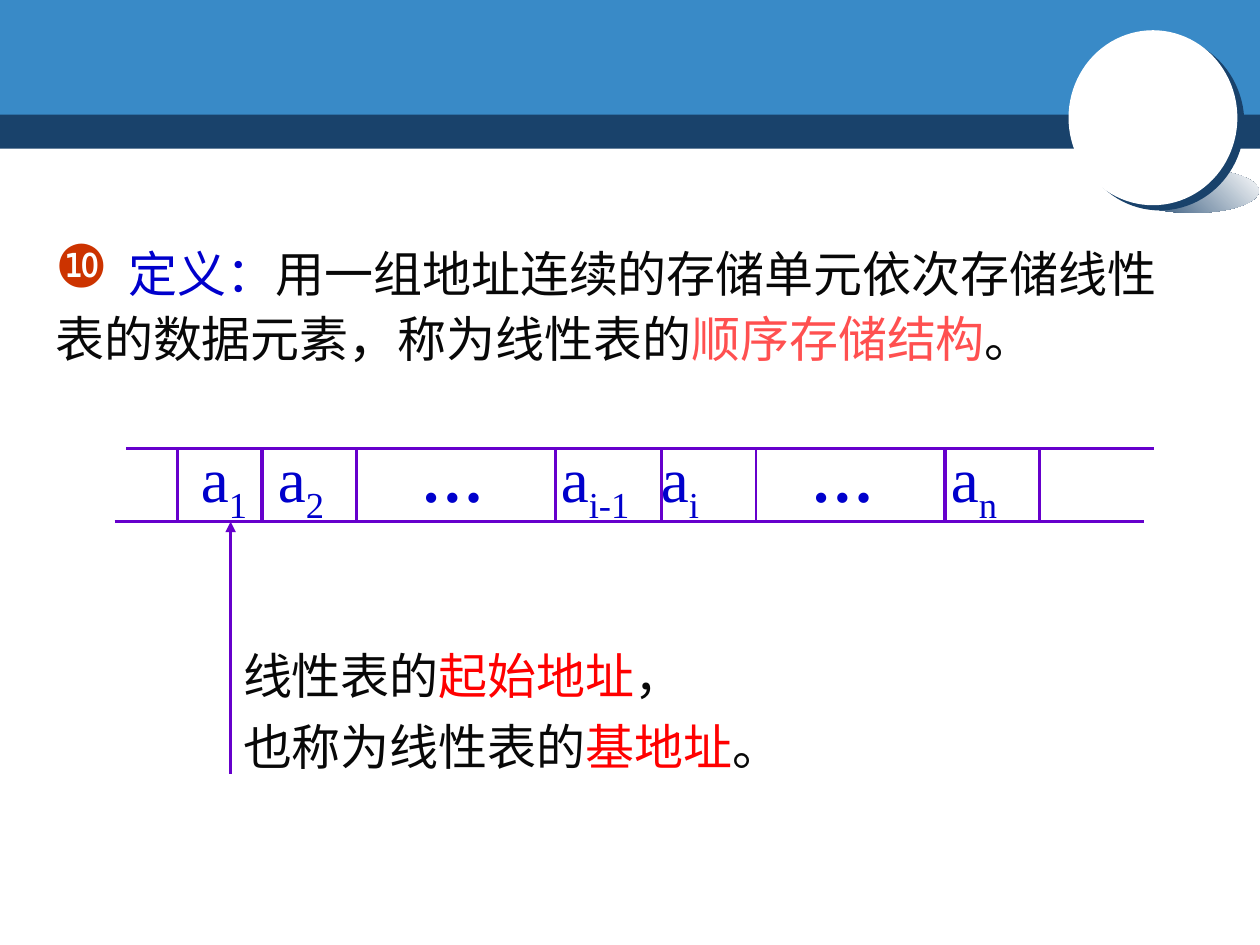
from dataclasses import dataclass

from lxml.etree import SubElement
from pptx import Presentation
from pptx.dml.color import RGBColor
from pptx.enum.shapes import MSO_CONNECTOR as Connector, MSO_SHAPE as Preset
from pptx.oxml.ns import qn
from pptx.util import Pt

NAVY = RGBColor(0x19, 0x42, 0x6B)
SKY = RGBColor(0x39, 0x8A, 0xC7)
WHITE = RGBColor(0xFF, 0xFF, 0xFF)
INK = RGBColor(0x08, 0x08, 0x08)
BLUE = RGBColor(0x00, 0x00, 0xCC)
RED = RGBColor(0xFF, 0x00, 0x00)
CORAL = RGBColor(0xFF, 0x50, 0x50)
RUST = RGBColor(0xCC, 0x33, 0x00)
PURPLE = RGBColor(0x66, 0x00, 0xCC)
FONT = "Times New Roman"


@dataclass
class Span:
    text: str
    color: RGBColor = INK
    size: float = 28
    bold: bool = False
    subscript: bool = False


@dataclass
class Line:
    x1: float
    y1: float
    x2: float
    y2: float
    width: float = 2
    arrow: bool = False


@dataclass
class Label:
    base: str
    index: str = ""
    tab: float = 0  # distance from the start of the text


deck = Presentation()
deck.slide_width, deck.slide_height = Pt(720), Pt(540)
page = deck.slides.add_slide(deck.slide_layouts[6])


def add_preset(preset: Preset, left: float, top: float, width: float,
               height: float, color: RGBColor):
    shape = page.shapes.add_shape(preset, Pt(left), Pt(top), Pt(width), Pt(height))
    shape.shadow.inherit = False
    shape.line.fill.background()
    shape.fill.solid()
    shape.fill.fore_color.rgb = color
    return shape


def add_line(line: Line) -> None:
    connector = page.shapes.add_connector(
        Connector.STRAIGHT, Pt(line.x1), Pt(line.y1), Pt(line.x2), Pt(line.y2))
    connector.line.color.rgb = PURPLE
    connector.line.width = Pt(line.width)
    if line.arrow:
        SubElement(connector.line._get_or_add_ln(), qn("a:tailEnd"), type="triangle")
    SubElement(connector._element.spPr, qn("a:effectLst"))


def add_text(left: float, top: float, width: float, height: float,
             paragraphs: list[list[Span]], spacing: float = 1):
    box = page.shapes.add_textbox(Pt(left), Pt(top), Pt(width), Pt(height))
    frame = box.text_frame
    frame.word_wrap = True
    for number, spans in enumerate(paragraphs):
        para = frame.add_paragraph() if number else frame.paragraphs[0]
        para.line_spacing = spacing
        for span in spans:
            run = para.add_run()
            run.text = span.text
            run.font.name = FONT
            run.font.size = Pt(span.size)
            run.font.bold = span.bold
            run.font.color.rgb = span.color
            if span.subscript:
                run.font._element.set("baseline", "-25000")
    return frame


def add_tabs(para, positions: list[float]) -> None:
    tabs = SubElement(para._p.get_or_add_pPr(), qn("a:tabLst"))
    for position in positions:
        SubElement(tabs, qn("a:tab"), pos=str(Pt(position)), algn="l")


# Header bands
add_preset(Preset.RECTANGLE, 0, 60.5, 720, 24.5, NAVY)
add_preset(Preset.RECTANGLE, 0, 0, 720, 65.5, SKY)

# Ball with its cast shade
shade = add_preset(Preset.OVAL, 643.7, 96.5, 75.6, 25.2, NAVY)
shade.fill.gradient()
shade.fill.gradient_angle = 45
for stop, color in zip(shade.fill.gradient_stops, (NAVY, WHITE)):
    stop.color.rgb = color
ball = add_preset(Preset.OVAL, 610.6, 17.3, 96.5, 100, WHITE)
edge = SubElement(ball._element.spPr.find(qn("a:effectLst")), qn("a:outerShdw"),
                  dist=str(Pt(5)), dir=str(37 * 60000), algn="ctr", rotWithShape="0")
SubElement(edge, qn("a:srgbClr"), val=str(NAVY))

# Definition with numbered bullet
definition = add_text(24.5, 132.5, 662.4, 81.4, [[
    Span("\t"),
    Span("定义：", BLUE),
    Span("用一组地址连续的存储单元依次存储线性表的数据元素，称为线性表的"),
    Span("顺序存储结构", CORAL),
    Span("。"),
]], spacing=1.1).paragraphs[0]
bullet = definition._p.get_or_add_pPr()
bullet_color = SubElement(bullet, qn("a:buClr"))
SubElement(bullet_color, qn("a:srgbClr"), val=str(RUST))
SubElement(bullet, qn("a:buSzPct"), val="120000")
SubElement(bullet, qn("a:buChar"), char="❿")
add_tabs(definition, [42])

# Address captions
add_text(131.8, 358.6, 322.6, 122.4, [
    [Span("线性表的"), Span("起始地址", RED), Span("，")],
    [Span("也称为线性表的"), Span("基地址", RED), Span("。")],
], spacing=1.2)

# Element names, set on tab stops
LABELS = [
    Label("a", "1"), Label("a", "2", 44), Label("…", tab=125.7),
    Label("a", "i-1", 205.7), Label("a", "i", 262.9),
    Label("…", tab=348.6), Label("a", "n", 428.6),
]
name_spans = []
for label in LABELS:
    lead = "\t" if label.tab else ""
    name_spans.append(Span(lead + label.base, BLUE, 36, bold=label.base == "…"))
    if label.index:
        name_spans.append(Span(label.index, BLUE, 36, subscript=True))
names = add_text(101.5, 247.7, 484.6, 79.2, [name_spans])
names.margin_left = Pt(13.3)
add_tabs(names.paragraphs[0], [label.tab for label in LABELS if label.tab])

# Storage cells and the arrow to the start address
TOP, BOTTOM = 256.3, 298.1
DIVIDERS = [101.5, 149.8, 203.8, 317.5, 378, 432, 540, 594]
THIN_DIVIDER = 432
lines = [Line(72, TOP, 659.5, TOP), Line(65.5, BOTTOM, 653.8, BOTTOM)]
lines += [Line(x, TOP, x, BOTTOM, 1.5 if x == THIN_DIVIDER else 2) for x in DIVIDERS]
lines += [Line(108, BOTTOM, 95.8, BOTTOM),
          Line(131.8, 442.1, 131.8, BOTTOM, 1.75, arrow=True)]
for line in lines:
    add_line(line)

deck.save("out.pptx")
